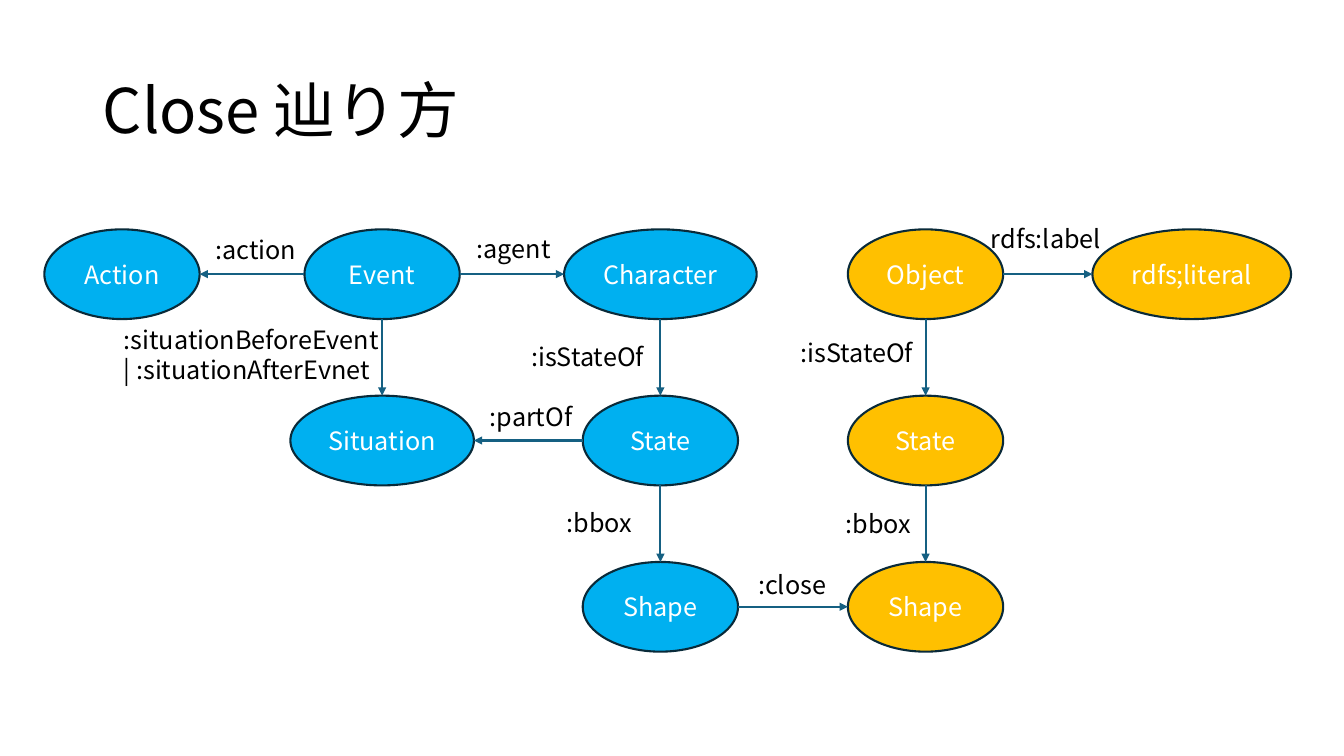
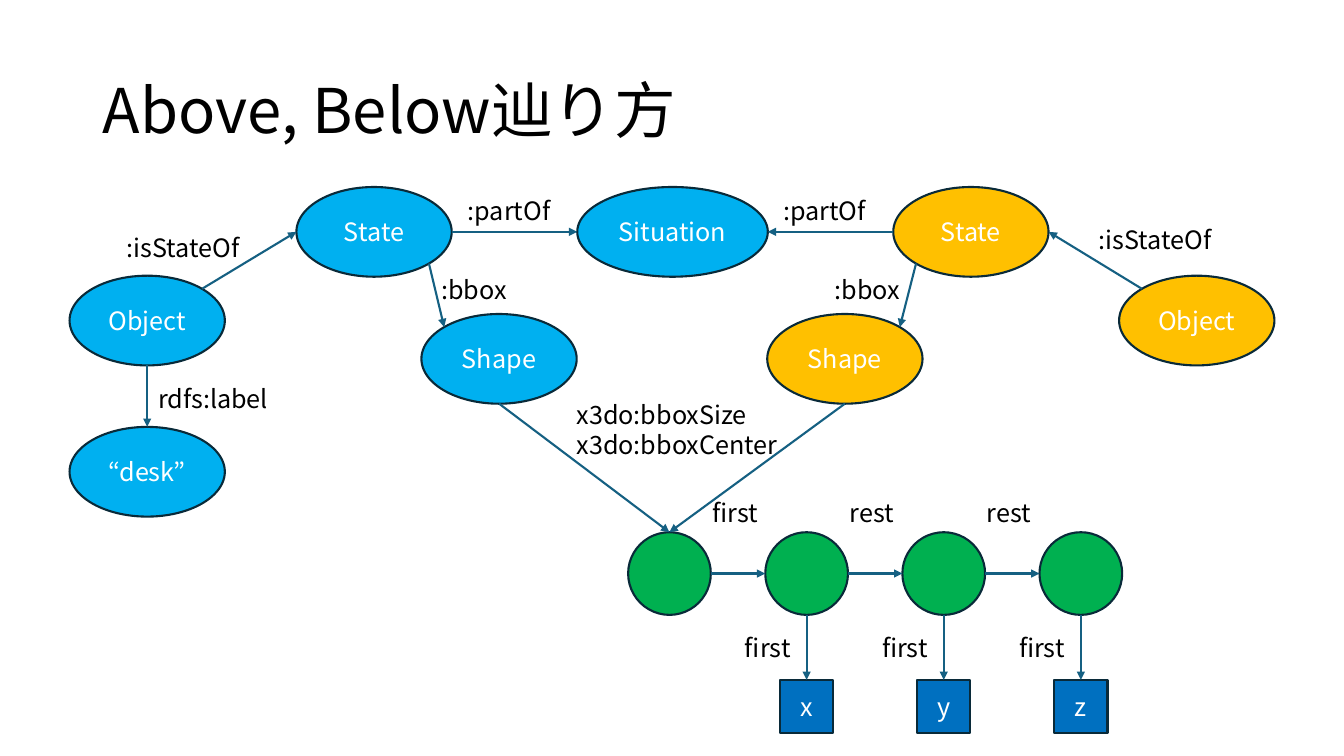
"""Build two slides that show how the Close and the Above / Below relations are traced."""
import dataclasses

import lxml.etree
import pptx
import pptx.dml.color
import pptx.enum.shapes
import pptx.enum.text
import pptx.oxml.ns
import pptx.shapes.autoshape
import pptx.slide
import pptx.text.text
import pptx.util

Inches = pptx.util.Inches
Form = pptx.enum.shapes.MSO_SHAPE
Align = pptx.enum.text.PP_ALIGN
qn = pptx.oxml.ns.qn

FONT = "Noto Sans CJK JP"
BLACK, WHITE = "000000", "FFFFFF"
BLUE, GOLD, GREEN, NAVY = "00B0F0", "FFC000", "00B050", "0070C0"
OUTLINE, ARROW = "092A39", "156082"
DIAGONAL = 0.5 ** 0.5
SIDES = {
    "top": (0, -1),
    "left": (-1, 0),
    "bottom": (0, 1),
    "right": (1, 0),
    "top left": (-DIAGONAL, -DIAGONAL),
    "top right": (DIAGONAL, -DIAGONAL),
    "bottom left": (-DIAGONAL, DIAGONAL),
    "bottom right": (DIAGONAL, DIAGONAL),
}


@dataclasses.dataclass(frozen=True)
class Node:
    """A shape placed by its centre, in inches."""
    text: str
    x: float
    y: float
    fill: str
    width: float = 1.54
    height: float = 0.89
    form: Form = Form.OVAL

    def site(self, side: str) -> tuple[float, float]:
        """Return the point on the outline at the given side."""
        across, down = SIDES[side]
        return self.x + across * self.width / 2, self.y + down * self.height / 2


@dataclasses.dataclass(frozen=True)
class Arrow:
    """A straight arrow between sides of two named nodes."""
    start: str
    start_side: str
    end: str
    end_side: str


@dataclasses.dataclass(frozen=True)
class Label:
    """A free text placed by its top left corner, in inches."""
    text: str
    left: float
    top: float
    width: float = 1.49
    height: float = 0.4


@dataclasses.dataclass(frozen=True)
class Diagram:
    """The content of one slide."""
    title: str
    nodes: dict[str, Node]
    arrows: list[Arrow]
    labels: list[Label]


def color(value: str) -> pptx.dml.color.RGBColor:
    """Turn a hex string into a colour."""
    return pptx.dml.color.RGBColor.from_string(value)


def add_span(para: pptx.text.text._Paragraph, text: str, size: float, ink: str) -> None:
    """Add one formatted run."""
    span = para.add_run()
    span.text = text
    span.font.size = pptx.util.Pt(size)
    span.font.color.rgb = color(ink)
    span.font.name = FONT
    properties = span.font._element if hasattr(span.font, "_element") else span._r.get_or_add_rPr()
    lxml.etree.SubElement(properties, qn("a:ea")).set("typeface", FONT)


def add_title(page: pptx.slide.Slide, text: str) -> None:
    """Place and fill the title placeholder."""
    title = page.shapes.title
    title.left, title.top = Inches(0.92), Inches(0.4)
    title.width, title.height = Inches(11.5), Inches(1.45)
    frame = title.text_frame
    frame.auto_size = pptx.enum.text.MSO_AUTO_SIZE.NONE
    frame.vertical_anchor = pptx.enum.text.MSO_ANCHOR.MIDDLE
    para = frame.paragraphs[0]
    para.alignment = Align.LEFT
    para.line_spacing = 0.9
    add_span(para, text, 44, BLACK)


def add_node(page: pptx.slide.Slide, node: Node) -> pptx.shapes.autoshape.Shape:
    """Draw a node with its centred caption."""
    shape = page.shapes.add_shape(
        node.form,
        Inches(node.x - node.width / 2),
        Inches(node.y - node.height / 2),
        Inches(node.width),
        Inches(node.height),
    )
    shape.shadow.inherit = False
    shape.fill.solid()
    shape.fill.fore_color.rgb = color(node.fill)
    shape.line.color.rgb = color(OUTLINE)
    shape.line.width = pptx.util.Pt(1.5)
    if node.text:
        frame = shape.text_frame
        frame.margin_left = frame.margin_right = 0
        frame.vertical_anchor = pptx.enum.text.MSO_ANCHOR.MIDDLE
        para = frame.paragraphs[0]
        para.alignment = Align.CENTER
        add_span(para, node.text, 18, WHITE)
    return shape


def add_arrow(
    page: pptx.slide.Slide,
    arrow: Arrow,
    nodes: dict[str, Node],
    shapes: dict[str, pptx.shapes.autoshape.Shape],
) -> None:
    """Draw an arrow and join it to a rectangle where it ends at one."""
    start = nodes[arrow.start].site(arrow.start_side)
    end = nodes[arrow.end].site(arrow.end_side)
    connector = page.shapes.add_connector(
        pptx.enum.shapes.MSO_CONNECTOR.STRAIGHT, *(Inches(value) for value in start + end)
    )
    if nodes[arrow.end].form == Form.RECTANGLE:
        connector.end_connect(shapes[arrow.end], list(SIDES).index(arrow.end_side))
    connector.line.color.rgb = color(ARROW)
    connector.line.width = pptx.util.Pt(1.5)
    properties = connector.element.spPr
    lxml.etree.SubElement(properties.find(qn("a:ln")), qn("a:tailEnd")).set("type", "triangle")
    lxml.etree.SubElement(properties, qn("a:effectLst"))


def add_label(page: pptx.slide.Slide, label: Label) -> None:
    """Draw a label, one paragraph a line."""
    box = page.shapes.add_textbox(
        Inches(label.left), Inches(label.top), Inches(label.width), Inches(label.height)
    )
    frame = box.text_frame
    frame.word_wrap = True
    for index, line in enumerate(label.text.split("\n")):
        para = frame.add_paragraph() if index else frame.paragraphs[0]
        add_span(para, line, 18, BLACK)


def add_diagram(deck: pptx.presentation.Presentation, diagram: Diagram) -> None:
    """Add one slide with its title, nodes, arrows and labels."""
    page = deck.slides.add_slide(deck.slide_layouts[5])
    add_title(page, diagram.title)
    shapes = {name: add_node(page, node) for name, node in diagram.nodes.items()}
    for arrow in diagram.arrows:
        add_arrow(page, arrow, diagram.nodes, shapes)
    for label in diagram.labels:
        add_label(page, label)


def close_diagram() -> Diagram:
    """Describe the Close slide."""
    upper, middle, lower = (2.72 + 1.65 * row for row in range(3))
    nodes = {
        "action": Node("Action", 1.21, upper, BLUE),
        "event": Node("Event", 3.79, upper, BLUE),
        "character": Node("Character", 6.55, upper, BLUE, 1.91),
        "object": Node("Object", 9.18, upper, GOLD),
        "literal": Node("rdfs;literal", 11.82, upper, GOLD, 1.97),
        "situation": Node("Situation", 3.79, middle, BLUE, 1.82),
        "character state": Node("State", 6.55, middle, BLUE),
        "object state": Node("State", 9.18, middle, GOLD),
        "character shape": Node("Shape", 6.55, lower, BLUE),
        "object shape": Node("Shape", 9.18, lower, GOLD),
    }
    arrows = [
        Arrow("event", "left", "action", "right"),
        Arrow("event", "right", "character", "left"),
        Arrow("event", "bottom", "situation", "top"),
        Arrow("character state", "left", "situation", "right"),
        Arrow("character shape", "right", "object shape", "left"),
        Arrow("object", "right", "literal", "left"),
    ]
    for owner in ("character", "object"):
        arrows += [
            Arrow(owner, "bottom", f"{owner} state", "top"),
            Arrow(f"{owner} state", "bottom", f"{owner} shape", "top"),
        ]
    labels = [
        Label(":action", 2.04, 2.28, 1.37),
        Label(":agent", 4.63, 2.27, 1.37),
        Label(":situationBeforeEvent | :situationAfterEvnet", 1.13, 3.17, 2.77, 0.71),
        Label(":partOf", 4.76, 3.93, 1.08),
        Label(":isStateOf", 5.17, 3.34),
        Label(":bbox", 5.52, 4.98),
        Label(":close", 7.42, 5.6),
        Label(":bbox", 8.29, 4.99),
        Label(":isStateOf", 7.84, 3.3),
        Label("rdfs:label", 9.73, 2.17),
    ]
    return Diagram("Close 辿り方", nodes, arrows, labels)


def above_below_diagram() -> Diagram:
    """Describe the Above, Below slide."""
    nodes = {
        "blue object": Node("Object", 1.46, 3.18, BLUE),
        "blue state": Node("State", 3.71, 2.3, BLUE),
        "situation": Node("Situation", 6.67, 2.3, BLUE, 1.89),
        "blue shape": Node("Shape", 4.95, 3.56, BLUE),
        "desk": Node("“desk”", 1.46, 4.68, BLUE),
        "gold state": Node("State", 9.63, 2.3, GOLD),
        "gold object": Node("Object", 11.87, 3.18, GOLD),
        "gold shape": Node("Shape", 8.38, 3.56, GOLD),
    }
    arrows = [Arrow("blue object", "bottom", "desk", "top")]
    for side, near, far in (("blue", "right", "left"), ("gold", "left", "right")):
        arrows += [
            Arrow(f"{side} object", f"top {near}", f"{side} state", far),
            Arrow(f"{side} state", near, "situation", far),
            Arrow(f"{side} state", f"bottom {near}", f"{side} shape", f"top {far}"),
            Arrow(f"{side} shape", "bottom", "list 0", "top"),
        ]
    labels = [
        Label("x3do:bboxSize\nx3do:bboxCenter", 5.62, 3.91, 2.21, 0.71),
        Label(":partOf", 4.54, 1.89, 1.13),
        Label(":partOf", 7.67, 1.89, 1.13),
        Label(":bbox", 4.28, 2.67, 0.87),
        Label(":bbox", 8.18, 2.67, 0.87),
        Label(":isStateOf", 1.16, 2.26, 1.37),
        Label(":isStateOf", 10.8, 2.18, 1.37),
        Label("rdfs:label", 1.47, 3.75, 1.37),
    ]
    pitch = 1.36
    for index, axis in enumerate(("", "x", "y", "z")):
        center = 6.64 + pitch * index
        item = f"list {index}"
        nodes[item] = Node("", center, 5.69, GREEN, 0.82, 0.82, Form.FLOWCHART_CONNECTOR)
        if axis:
            nodes[axis] = Node(axis, center, 7.01, NAVY, 0.53, 0.53, Form.RECTANGLE)
            arrows += [
                Arrow(f"list {index - 1}", "right", item, "left"),
                Arrow(item, "bottom", axis, "top"),
            ]
            labels += [
                Label("first" if index == 1 else "rest", center - 1.03, 4.88, 0.71),
                Label("first", center - 0.71, 6.22, 0.71),
            ]
    return Diagram("Above, Below辿り方", nodes, arrows, labels)


def main() -> None:
    """Build and save the deck."""
    deck = pptx.Presentation()
    deck.slide_width, deck.slide_height = Inches(13.33), Inches(7.5)
    for diagram in (close_diagram(), above_below_diagram()):
        add_diagram(deck, diagram)
    deck.save("out.pptx")


if __name__ == "__main__":
    main()
